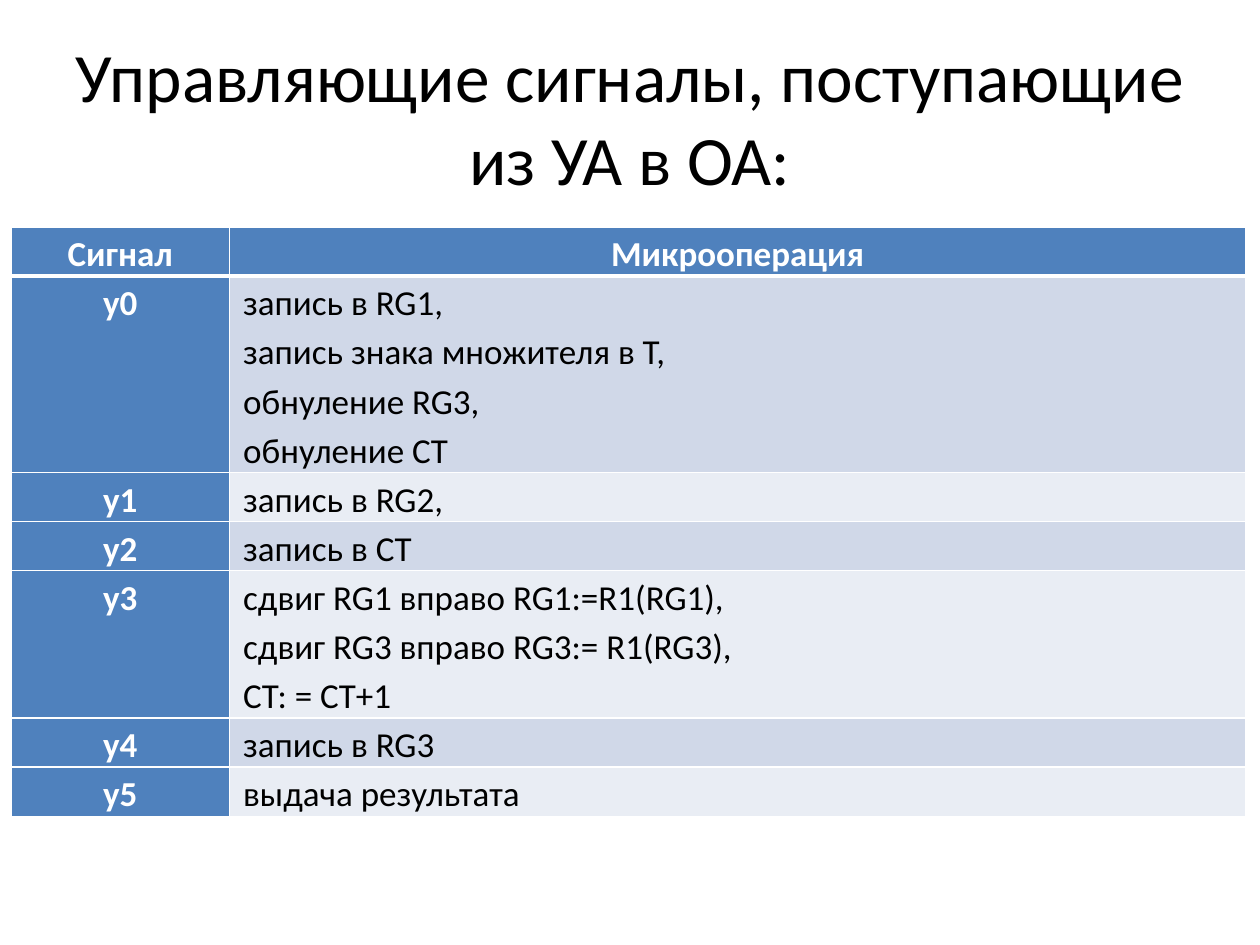
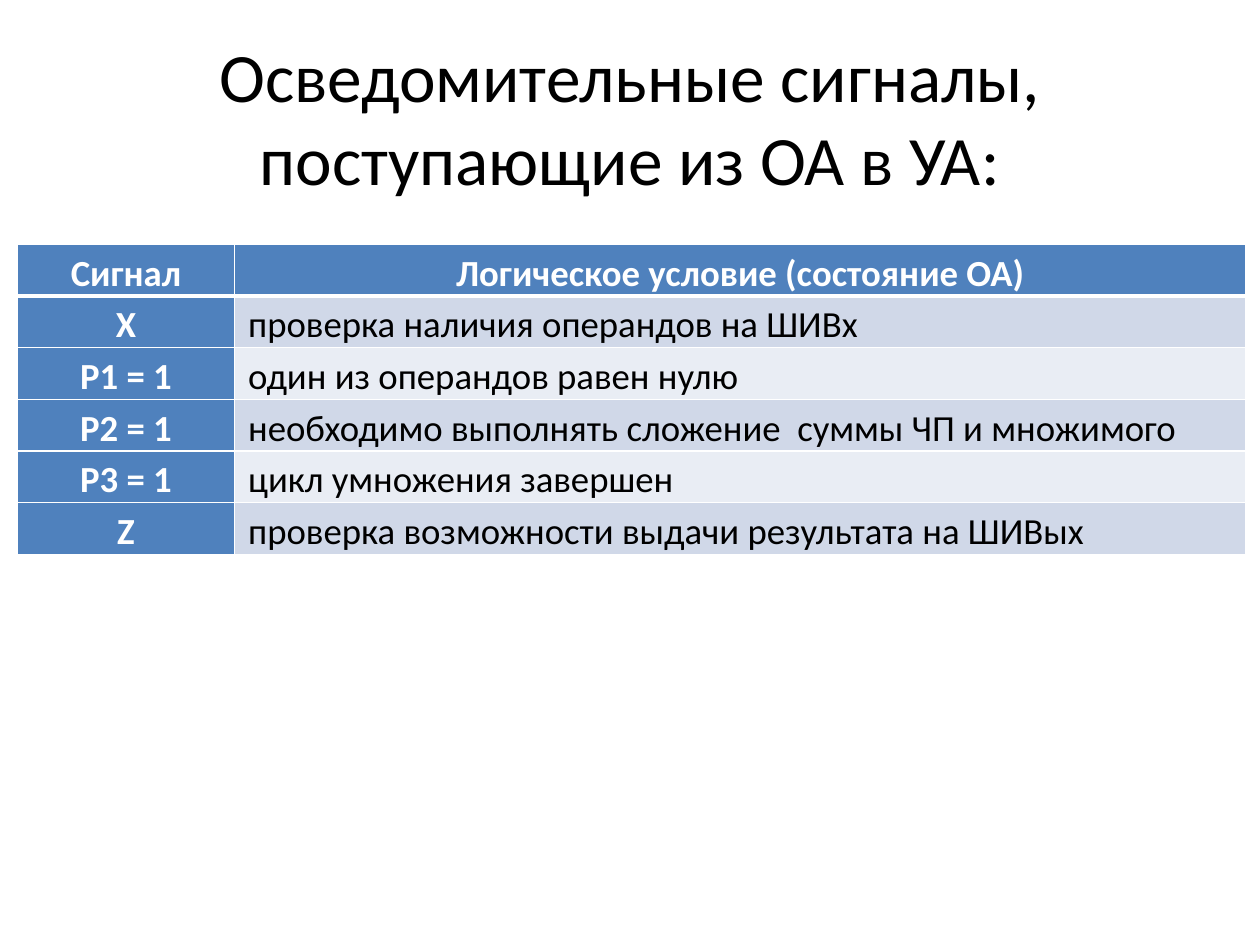
from pptx import Presentation
from pptx.dml.color import RGBColor
from pptx.enum.text import MSO_ANCHOR, PP_ALIGN
from pptx.oxml.ns import qn
from pptx.util import Inches, Pt
from lxml.etree import SubElement

BLACK = RGBColor(0x00, 0x00, 0x00)
WHITE = RGBColor(0xFF, 0xFF, 0xFF)
BLUE = RGBColor(0x4F, 0x81, 0xBD)
BANDS = [RGBColor(0xE9, 0xED, 0xF4), RGBColor(0xD0, 0xD8, 0xE8)]
FONT = "Calibri"

CONTROL_SIGNALS = [
    ("Сигнал", "Микрооперация"),
    ("y0", "запись в RG1,\nзапись знака множителя в T,\nобнуление RG3,\nобнуление CT"),
    ("y1", "запись в RG2,"),
    ("y2", "запись в CT"),
    ("y3", "сдвиг RG1 вправо RG1:=R1(RG1),\nсдвиг RG3 вправо RG3:= R1(RG3),\nСТ: = СТ+1"),
    ("y4", "запись в RG3"),
    ("y5", "выдача результата"),
]
STATUS_SIGNALS = [
    ("Сигнал", "Логическое условие (состояние ОА)"),
    ("Х", "проверка наличия операндов на ШИВх"),
    ("P1 = 1", "один из операндов равен нулю"),
    ("P2 = 1", "необходимо выполнять сложение  суммы ЧП и множимого"),
    ("P3 = 1", "цикл умножения завершен"),
    ("Z", "проверка возможности выдачи результата на ШИВых"),
]


class SignalDeck:
    """Builds slides that pair a centred title with a table of signals."""

    def __init__(self):
        self.deck = Presentation()
        self.deck.slide_width, self.deck.slide_height = Inches(10), Inches(7.5)
        self.page = None

    def add_page(self):
        self.page = self.deck.slides.add_slide(self.deck.slide_layouts[6])

    def style_text(self, frame, size, color, bold=False, align=PP_ALIGN.CENTER, spacing=1.0):
        for paragraph in frame.paragraphs:
            paragraph.alignment = align
            paragraph.line_spacing = spacing
            font = paragraph.font
            font.name, font.size, font.bold = FONT, Pt(size), bold
            font.color.rgb = color

    def add_title(self, text):
        box = self.page.shapes.add_textbox(Inches(0.5), Inches(0.3), Inches(9), Inches(1.25))
        frame = box.text_frame
        frame.word_wrap = True
        frame.vertical_anchor = MSO_ANCHOR.MIDDLE
        frame.text = text
        self.style_text(frame, 39.6, BLACK)

    def add_borders(self, cell, bottom):
        properties = cell._tc.get_or_add_tcPr()
        for side, width in (("L", 1), ("R", 1), ("T", 1), ("B", bottom)):
            line = SubElement(properties, qn(f"a:ln{side}"), w=str(Pt(width)))
            fill = SubElement(line, qn("a:solidFill"))
            SubElement(fill, qn("a:srgbClr"), val=str(WHITE))

    def fill_cell(self, cell, text, size, row, column):
        is_heading = row == 0 or column == 0
        cell.margin_left = cell.margin_right = Inches(0.11)
        cell.margin_top = cell.margin_bottom = 0
        cell.text = text
        self.style_text(
            cell.text_frame,
            size,
            WHITE if is_heading else BLACK,
            bold=is_heading,
            align=PP_ALIGN.CENTER if is_heading else PP_ALIGN.LEFT,
            spacing=1.15,
        )
        self.add_borders(cell, bottom=3 if row == 0 else 1)
        cell.fill.solid()
        cell.fill.fore_color.rgb = BLUE if is_heading else BANDS[row % 2]

    def add_signal_table(self, signals, left, top, widths, line_height, size):
        heights = [Inches(line_height * len(text.splitlines())) for _, text in signals]
        table = self.page.shapes.add_table(
            len(signals), len(widths), Inches(left), Inches(top),
            Inches(sum(widths)), sum(heights),
        ).table
        for column, width in zip(table.columns, widths):
            column.width = Inches(width)
        for row, (height, texts) in enumerate(zip(heights, signals)):
            table.rows[row].height = height
            for column, text in enumerate(texts):
                self.fill_cell(table.cell(row, column), text, size, row, column)


def main():
    signal_deck = SignalDeck()

    signal_deck.add_page()
    signal_deck.add_title("Управляющие сигналы, поступающие из УА в ОА:")
    signal_deck.add_signal_table(CONTROL_SIGNALS, 0.09, 1.8, (1.73, 8.07), 0.39, 20)

    signal_deck.add_page()
    signal_deck.add_title("Осведомительные сигналы, поступающие из ОА в УА:")
    signal_deck.add_signal_table(STATUS_SIGNALS, 0.14, 1.94, (1.72, 8.03), 0.41, 21)

    signal_deck.deck.save("out.pptx")


if __name__ == "__main__":
    main()
